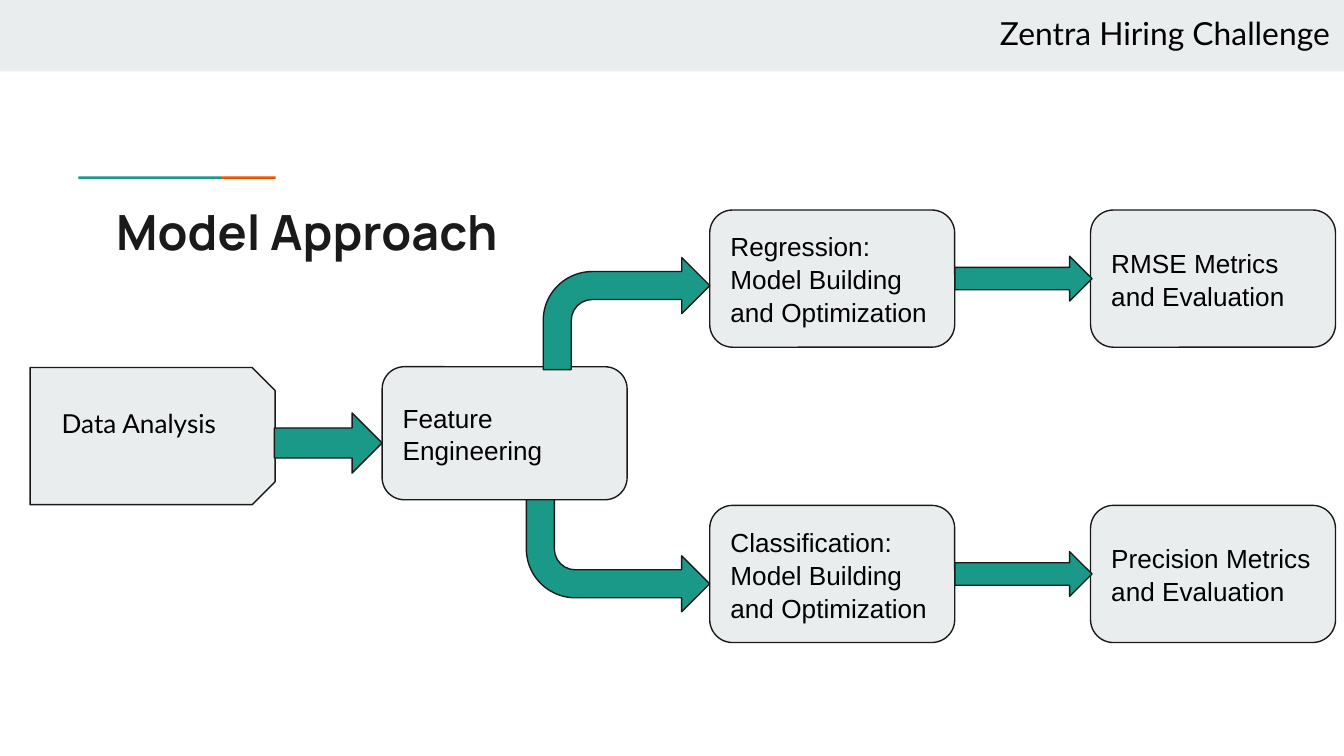
from pptx import Presentation
from pptx.dml.color import RGBColor
from pptx.enum.shapes import MSO_SHAPE
from pptx.enum.text import MSO_ANCHOR, PP_ALIGN
from pptx.util import Pt

RECT = MSO_SHAPE.RECTANGLE
ROUND = MSO_SHAPE.ROUNDED_RECTANGLE
SNIP = MSO_SHAPE.SNIP_2_SAME_RECTANGLE
ARROW = MSO_SHAPE.RIGHT_ARROW
BENT = MSO_SHAPE.BENT_ARROW
TOP, MID = MSO_ANCHOR.TOP, MSO_ANCHOR.MIDDLE
LEFT, RIGHT = PP_ALIGN.LEFT, PP_ALIGN.RIGHT

PX = 9525
PALE, TEAL, RUST, INK, BLACK = "E9EDEE", "1A9988", "EB5600", "1A1A1A", "000000"
INSET = 10 * PX
FRAME = {
    "word_wrap": True,
    "margin_left": INSET,
    "margin_right": INSET,
    "margin_top": INSET,
    "margin_bottom": INSET,
}

deck = Presentation()
deck.slide_width, deck.slide_height = 960 * PX, 540 * PX
slide = deck.slides.add_slide(deck.slide_layouts[6])


def draw(kind, box, fill, edge=True, adj=()):
    shape = slide.shapes.add_shape(kind, *[n * PX for n in box])
    shape.shadow.inherit = False
    shape.fill.solid()
    shape.fill.fore_color.rgb = RGBColor.from_string(fill)
    if edge:
        shape.line.color.rgb = RGBColor.from_string(INK)
        shape.line.width = Pt(0.75)
    else:
        shape.line.fill.background()
    for i, part in enumerate(adj):
        shape.adjustments[i] = part
    return shape


def write(shape, lines, font, size, color=BLACK, bold=False,
          anchor=TOP, align=LEFT, space=1.0):
    frame = shape.text_frame
    for key, value in {**FRAME, "vertical_anchor": anchor}.items():
        setattr(frame, key, value)
    frame.text = "\n".join(lines)
    for para in frame.paragraphs:
        para.alignment = align
        para.line_spacing = space
        look = {"name": font, "size": Pt(size), "bold": bold}
        for key, value in look.items():
            setattr(para.font, key, value)
        para.font.color.rgb = RGBColor.from_string(color)


draw(RECT, (0, 0, 960, 51), PALE, edge=False)
draw(RECT, (56, 126, 102, 2), TEAL, edge=False)
draw(RECT, (158, 126, 39, 2), RUST, edge=False)

start = draw(SNIP, (60, 224, 98, 175), PALE, adj=(0.167, 0))
start.rotation = 90

STEPS = [
    (273, 262, 95, ["Feature Engineering"]),
    (507, 150, 98, ["Regression:", "Model Building and Optimization"]),
    (507, 361, 98, ["Classification:", "Model Building and Optimization"]),
    (779, 150, 98, ["RMSE Metrics and Evaluation"]),
    (779, 361, 98, ["Precision Metrics", "and Evaluation"]),
]
for x, y, high, lines in STEPS:
    step = draw(ROUND, (x, y, 175, high), PALE, adj=(0.167,))
    write(step, lines, "Arial", 14, anchor=MID, space=1.05)

for box in [(196, 295, 77, 43), (682, 183, 98, 32), (682, 394, 98, 32)]:
    draw(ARROW, box, TEAL, adj=(0.5, 0.5))

BEND = (0.25, 0.25, 0.25, 0.438)
draw(BENT, (388, 184, 119, 80), TEAL, adj=BEND)
down = draw(BENT, (376, 357, 131, 80), TEAL, adj=BEND)
down._element.spPr.xfrm.set("flipV", "1")

LABELS = [
    ((73, 134, 887, 62), "Model Approach", "Manrope", 26, INK, True, LEFT),
    ((34, 281, 150, 42), "Data Analysis", "Lato", 14, BLACK, False, LEFT),
    ((468, 0, 492, 47), "Zentra Hiring Challenge", "Lato", 17, BLACK, False, RIGHT),
]
for box, text, font, size, color, bold, align in LABELS:
    label = slide.shapes.add_textbox(*[n * PX for n in box])
    write(label, [text], font, size, color, bold, align=align)

deck.save("out.pptx")
